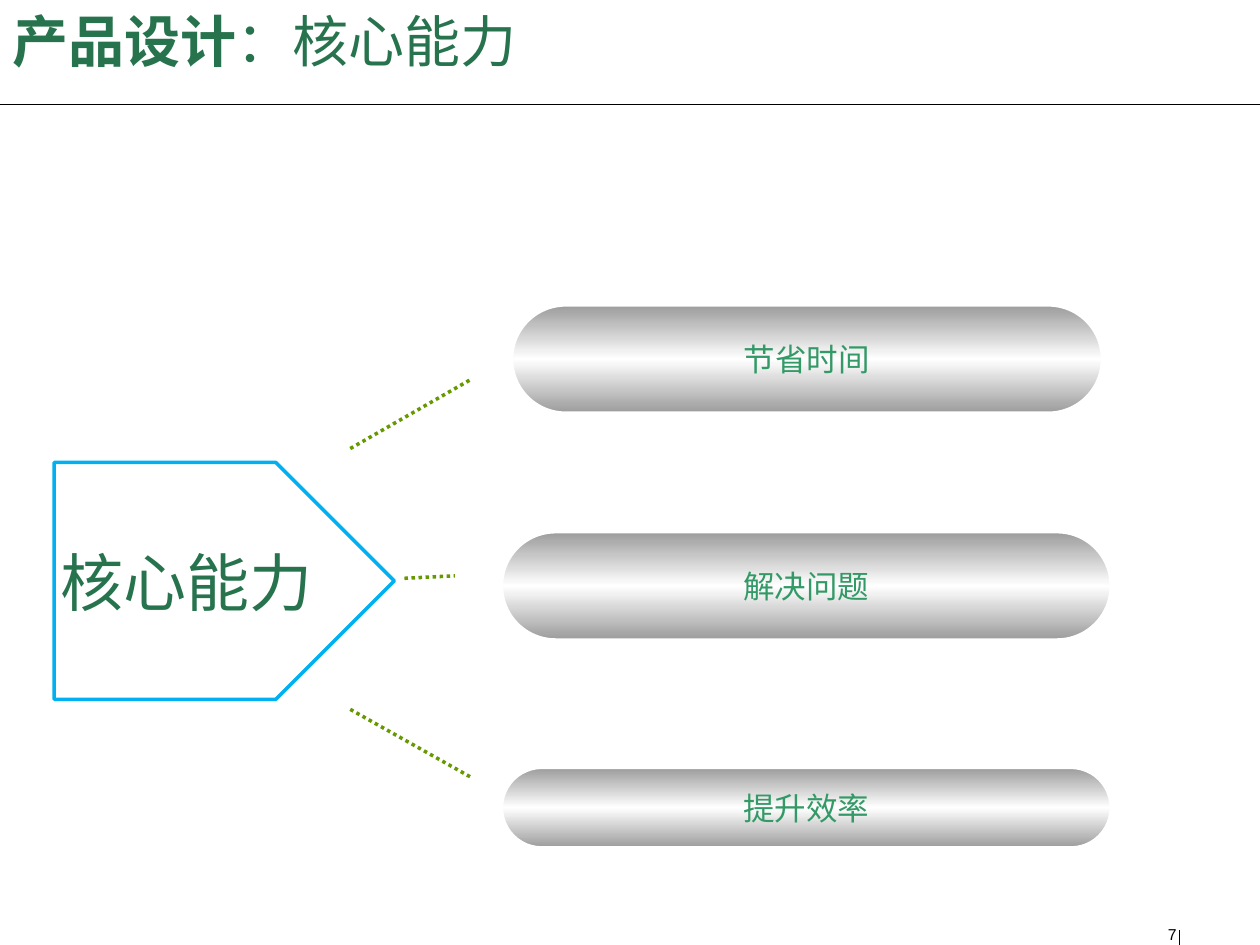
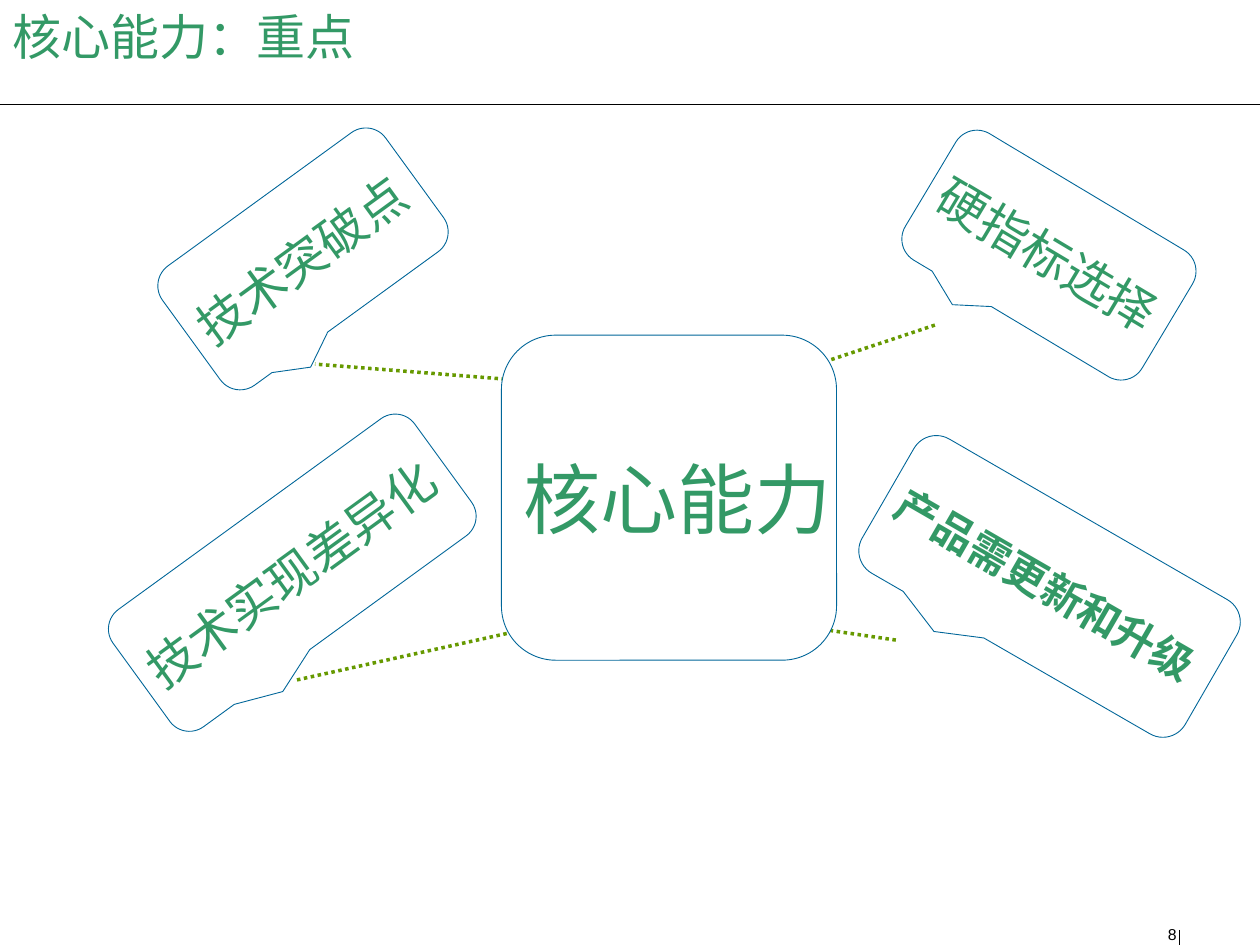
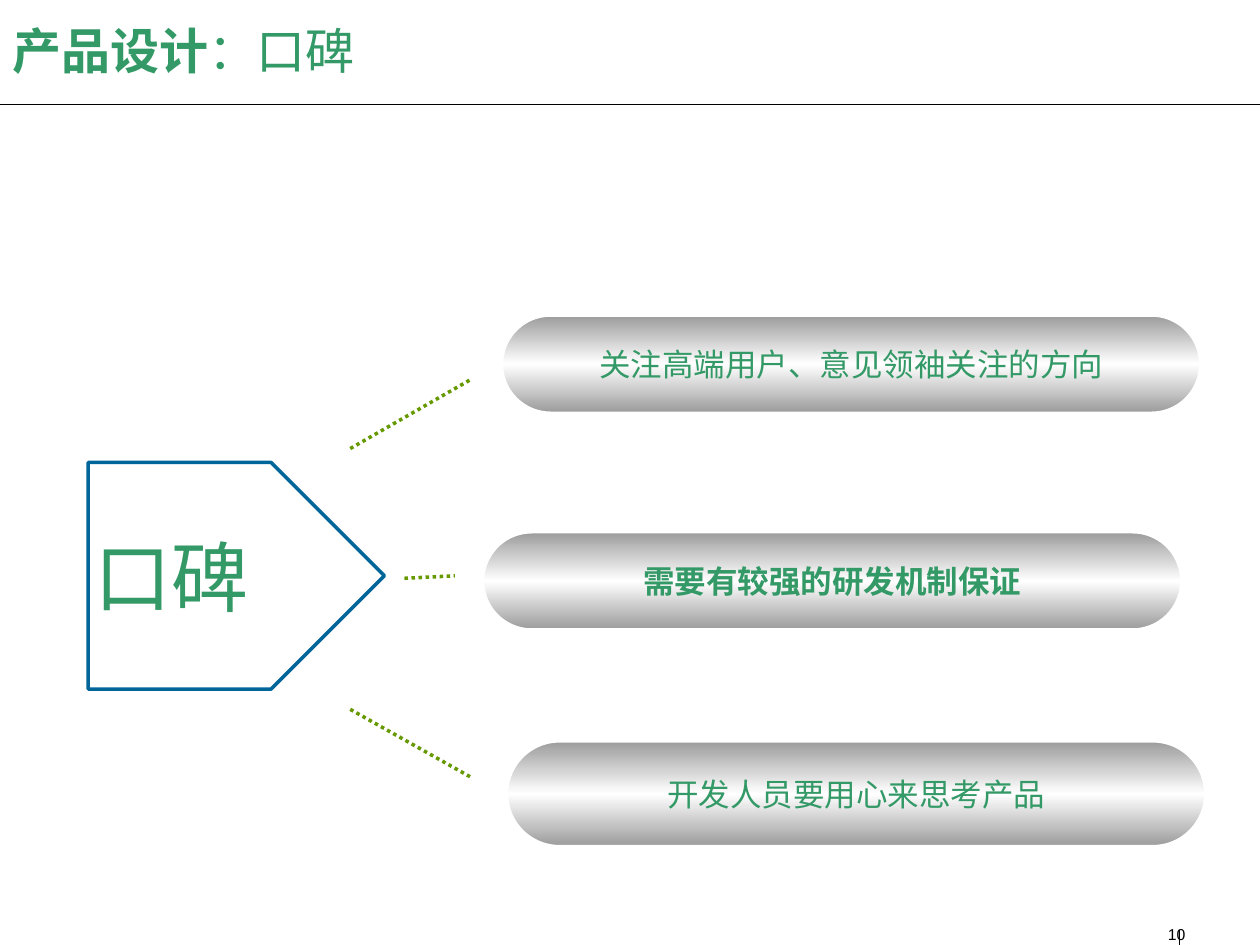
from copy import deepcopy

from lxml.etree import SubElement
from pptx import Presentation
from pptx.dml.color import RGBColor
from pptx.enum.dml import MSO_LINE
from pptx.enum.shapes import MSO_CONNECTOR as CONNECTOR, MSO_SHAPE as SHAPE
from pptx.enum.text import MSO_ANCHOR as ANCHOR, PP_ALIGN as ALIGN
from pptx.oxml.ns import qn
from pptx.util import Pt

PX = 9144
WIDTH, HEIGHT = 1000, 750
CJK, LATIN = "Noto Sans CJK SC", "Arial"
COLORS = {
    "white": "FFFFFF", "black": "000000", "silver": "9B9B9B",
    "green": "339966", "deep": "26734D", "olive": "669900",
    "blue": "006699", "sky": "00B0F0",
}
SPOKES = [(278, 356, 374, 301), (321, 459, 361, 457), (278, 563, 374, 617)]


def color(name):
    return RGBColor.from_string(COLORS[name])


def write(shape, *runs, size=18, ink="green", font=CJK, align=ALIGN.LEFT,
          margins=(10, 5), wrap=False, hanging=0, anchor=ANCHOR.MIDDLE):
    """Fill a shape with one paragraph of (text, bold) runs."""
    frame = shape.text_frame
    frame.word_wrap, frame.vertical_anchor = wrap, anchor
    frame.margin_left = frame.margin_right = margins[0] * PX
    frame.margin_top = frame.margin_bottom = margins[1] * PX
    paragraph = frame.paragraphs[0]
    paragraph.alignment = align
    if hanging:
        properties = paragraph._p.get_or_add_pPr()
        properties.set("marL", str(hanging * PX))
        properties.set("indent", str(-hanging * PX))
    for text, bold in runs:
        run = paragraph.add_run()
        run.text = text
        run.font.size, run.font.bold, run.font.name = Pt(size), bold, font
        run.font.color.rgb = color(ink)
        SubElement(run._r.get_or_add_rPr(), qn("a:ea")).set("typeface", font)


class Deck:
    """Hold the presentation style and the current slide."""

    def __init__(self):
        self.presentation = Presentation()
        self.presentation.slide_width = WIDTH * PX
        self.presentation.slide_height = HEIGHT * PX
        self.slide = None

    def add_slide(self, number):
        self.slide = self.presentation.slides.add_slide(self.presentation.slide_layouts[6])
        box = self.slide.shapes.add_textbox(927 * PX, 734 * PX, 57 * PX, 15 * PX)
        write(box, (number, False), size=9, ink="black", font=LATIN,
              margins=(0, 0), anchor=ANCHOR.TOP)
        self.line(0, 83, WIDTH, 83)
        self.line(936, 738, 936, HEIGHT)

    def line(self, *ends, ink="black", width=0.75, dotted=False):
        connector = self.slide.shapes.add_connector(
            CONNECTOR.STRAIGHT, *(end * PX for end in ends))
        connector.line.color.rgb, connector.line.width = color(ink), Pt(width)
        if dotted:
            connector.line.dash_style = MSO_LINE.ROUND_DOT
        SubElement(connector._element.spPr, qn("a:effectLst"))

    def spokes(self, ends):
        for spoke in ends:
            self.line(*spoke, ink="olive", width=2, dotted=True)

    def finish(self, shape, outline, width):
        shape.shadow.inherit = False
        shape.fill.solid()
        shape.fill.fore_color.rgb = color("white")
        shape.line.color.rgb, shape.line.width = color(outline), Pt(width)
        return shape

    def shape(self, kind, place, adjustments=(), outline="white", width=2):
        shape = self.slide.shapes.add_shape(kind, *(length * PX for length in place))
        for index, value in enumerate(adjustments):
            shape.adjustments[index] = value
        return self.finish(shape, outline, width)

    def title(self, *runs, top=0, height=57, size=28, ink="green"):
        band = self.shape(SHAPE.RECTANGLE, (0, top, WIDTH, height))
        write(band, *runs, size=size, ink=ink, wrap=True)

    def pill(self, text, *place, bold=False):
        pill = self.shape(SHAPE.ROUNDED_RECTANGLE, place, [0.5])
        pill.fill.gradient()
        pill.fill.gradient_angle = 90
        stop_list = pill._element.spPr.find(".//" + qn("a:gsLst"))
        stop_list.append(deepcopy(stop_list[0]))
        for stop, position, name in zip(pill.fill.gradient_stops, (0, 0.5, 1),
                                        ("silver", "white", "silver")):
            stop.position, stop.color.rgb = position, color(name)
        write(pill, (text, bold), align=ALIGN.CENTER)

    def pentagon(self, text, left, top, width, height, outline, **style):
        right, middle, bottom = left + width, top + height // 2, top + height
        shoulder = right - height // 2
        builder = self.slide.shapes.build_freeform(left, top, scale=PX)
        builder.add_line_segments([(shoulder, top), (right, middle),
                                   (shoulder, bottom), (left, bottom)])
        shape = self.finish(builder.convert_to_shape(), outline, 2)
        write(shape, (text, False), margins=(5, 5), hanging=13, **style)

    def hub(self, text, *place):
        hub = self.shape(SHAPE.ROUNDED_RECTANGLE, place, [0.167], "blue", 0.5)
        write(hub, (text, False), size=44, margins=(5, 5), hanging=13)

    def callout(self, text, *place, rotation, size=28, bold=False):
        callout = self.shape(SHAPE.ROUNDED_RECTANGULAR_CALLOUT, place,
                             [-0.208, 0.625, 0.167], "blue", 0.5)
        callout.rotation = rotation
        write(callout, (text, bold), size=size, margins=(5, 5), hanging=13)


def core_ability(deck):
    deck.add_slide("7")
    deck.spokes(SPOKES)
    deck.pill("节省时间", 406, 242, 469, 86)
    deck.pill("解决问题", 398, 422, 484, 86)
    deck.pill("提升效率", 398, 609, 484, 64)
    deck.title(("产品设计", True), ("：核心能力", False), height=63, size=32, ink="deep")
    deck.pentagon("核心能力", 43, 367, 270, 188, "sky", size=36, ink="deep")


def key_points(deck):
    deck.add_slide("8")
    deck.spokes([(529, 311, 250, 289), (555, 469, 234, 540),
                 (742, 258, 625, 297), (711, 508, 547, 484)])
    deck.title(("核心能力：重点", False))
    deck.hub("核心能力", 398, 266, 266, 258)
    deck.callout("技术突破点", 131, 147, 219, 117, rotation=324)
    deck.callout("硬指标选择", 723, 144, 219, 117, rotation=30.9)
    deck.callout("技术实现差异化", 84, 397, 296, 115, rotation=324)
    deck.callout("产品需更新和升级", 685, 404, 296, 123, rotation=30, size=24, bold=True)


def reputation(deck):
    deck.add_slide("10")
    deck.spokes(SPOKES)
    deck.pill("关注高端用户、意见领袖关注的方向", 398, 250, 555, 78)
    deck.pill("需要有较强的研发机制保证", 383, 422, 555, 78, bold=True)
    deck.pill("开发人员要用心来思考产品", 402, 588, 555, 84)
    deck.title(("产品设计", True), ("：口碑", False), top=11)
    deck.pentagon("口碑", 70, 367, 235, 180, "blue", size=44)


def main():
    deck = Deck()
    for build in (core_ability, key_points, reputation):
        build(deck)
    deck.presentation.save("out.pptx")


if __name__ == "__main__":
    main()
